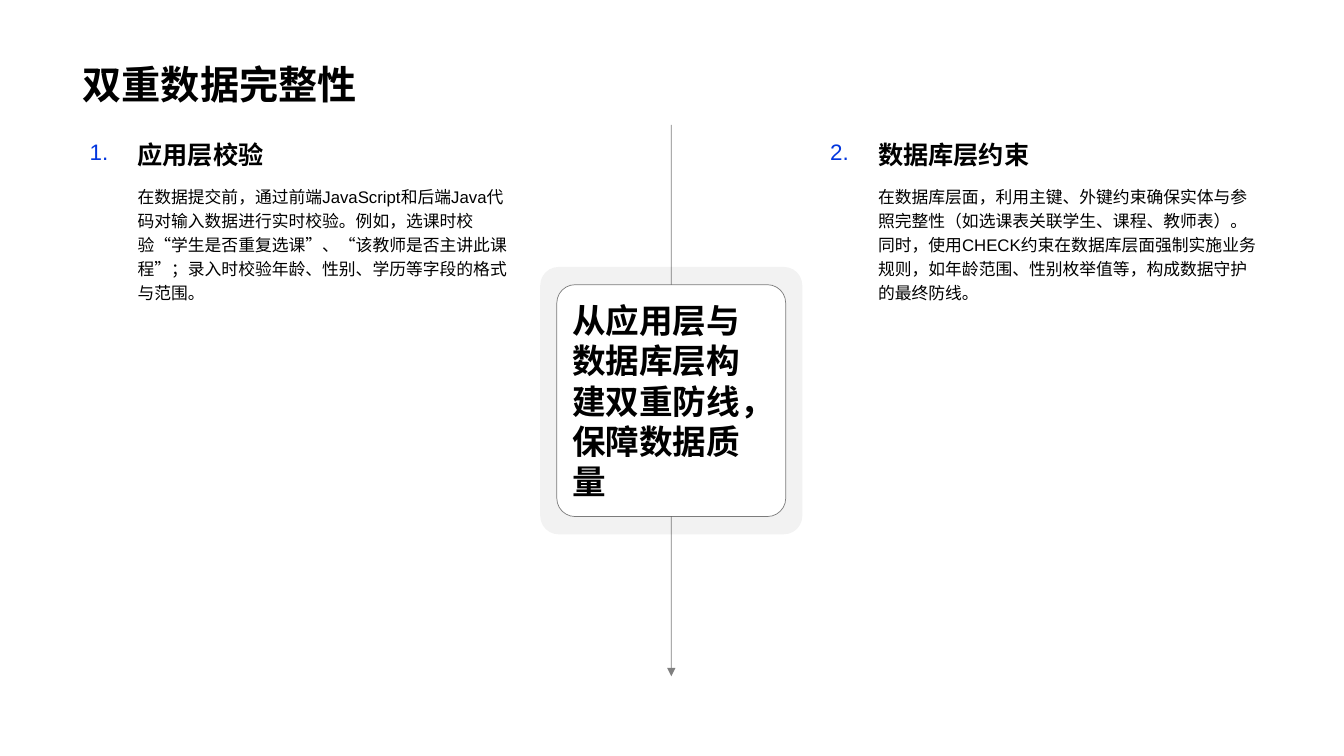
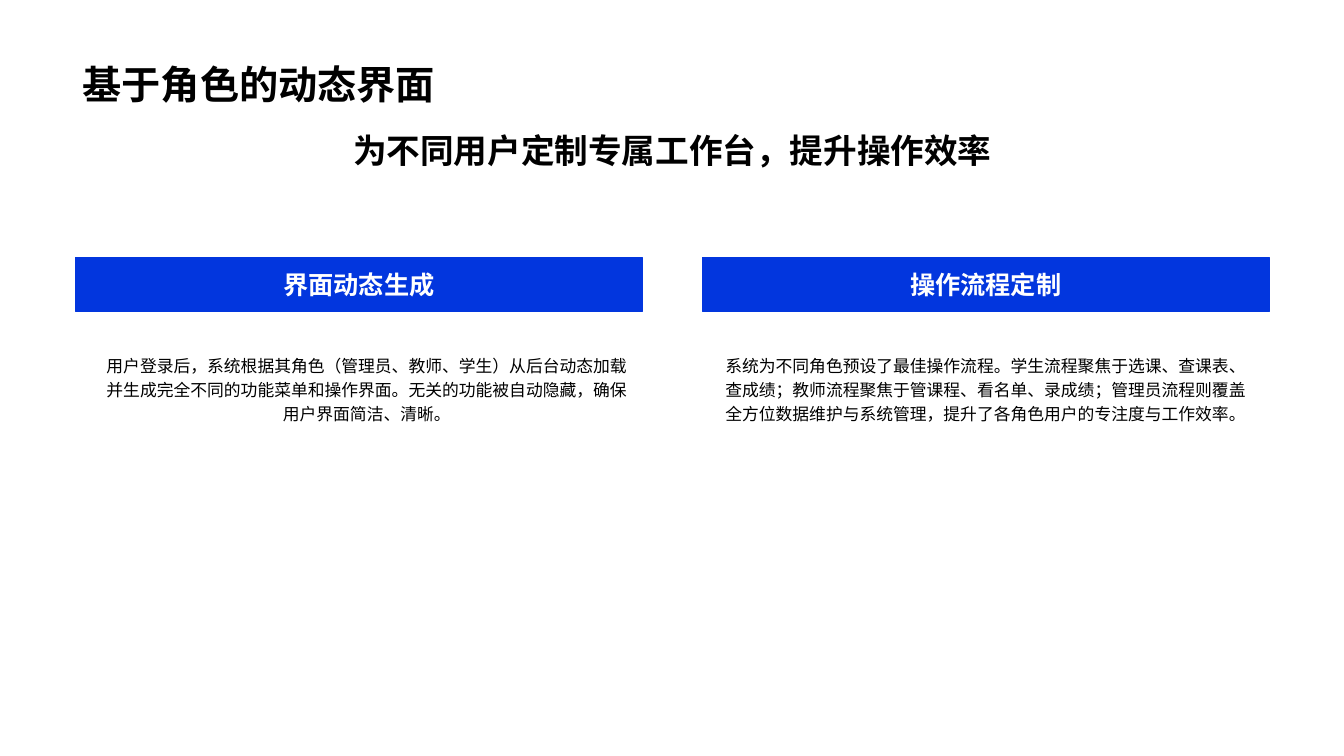
import pptx
import pptx.dml.color
import pptx.enum.lang
import pptx.enum.shapes
import pptx.enum.text
import pptx.oxml
import pptx.oxml.ns
import pptx.util

Pt = pptx.util.Pt
ALIGN = pptx.enum.text.PP_ALIGN
ANCHOR = pptx.enum.text.MSO_ANCHOR
SHAPE = pptx.enum.shapes.MSO_SHAPE

# Shared style
FONT = "Arial"
BLACK, WHITE, BLUE = "000000", "FFFFFF", "0236DE"
TITLE_BOX = (51.84, 10.08, 855.36, 70.56)
CONTENT_TOP = 89.28
BODY_SPACING = 1.2


def color(hex_string):
    return pptx.dml.color.RGBColor.from_string(hex_string)


def set_opacity(parent, percent):
    """Make the solid colour held by a fill or line element translucent."""
    for rgb in parent.iter(pptx.oxml.ns.qn("a:srgbClr")):
        alpha = rgb.makeelement(pptx.oxml.ns.qn("a:alpha"), {"val": str(percent * 1000)})
        rgb.append(alpha)


def set_line(shape, hex_string, width, opacity=100):
    shape.line.color.rgb = color(hex_string)
    shape.line.width = Pt(width)
    if opacity < 100:
        set_opacity(shape._element.spPr.find(pptx.oxml.ns.qn("a:ln")), opacity)


def write(shape, text, size, hex_string=BLACK, bold=False, align=ALIGN.LEFT,
          anchor=ANCHOR.TOP, spacing=None, wrap=True):
    frame = shape.text_frame
    frame.word_wrap = wrap
    frame.auto_size = pptx.enum.text.MSO_AUTO_SIZE.NONE
    frame.vertical_anchor = anchor
    paragraph = frame.paragraphs[0]
    paragraph.alignment = align
    if spacing:
        paragraph.line_spacing = spacing
    run = paragraph.add_run()
    run.text = text
    run.font.name = FONT
    run.font.size = Pt(size)
    run.font.bold = bold
    run.font.color.rgb = color(hex_string)
    run.font.language_id = pptx.enum.lang.MSO_LANGUAGE_ID.SIMPLIFIED_CHINESE


def add_text(slide, box, text, size, **style):
    shape = slide.shapes.add_textbox(*map(Pt, box))
    write(shape, text, size, **style)


def add_box(slide, preset, box, fill):
    shape = slide.shapes.add_shape(preset, *map(Pt, box))
    shape.shadow.inherit = False
    shape.fill.solid()
    shape.fill.fore_color.rgb = color(fill)
    return shape


def add_titled_slide(presentation, title):
    slide = presentation.slides.add_slide(presentation.slide_layouts[5])
    shape = slide.shapes.title
    shape.left, shape.top, shape.width, shape.height = map(Pt, TITLE_BOX)
    write(shape, title, 28, bold=True, anchor=ANCHOR.BOTTOM)
    return slide


# Slide with a central message between two numbered columns
def add_center_axis(slide, box, message):
    left, top, width, height = box
    center_x, center_y = left + width / 2, top + height / 2

    # Arrow running down behind the card
    arrow = slide.shapes.add_connector(
        pptx.enum.shapes.MSO_CONNECTOR.STRAIGHT,
        Pt(center_x), Pt(top), Pt(center_x), Pt(top + height))
    set_line(arrow, BLACK, 0.5, 50)
    properties = arrow._element.spPr
    namespace = pptx.oxml.ns.nsdecls("a")
    properties.find(pptx.oxml.ns.qn("a:ln")).append(
        pptx.oxml.parse_xml(f'<a:tailEnd {namespace} type="triangle"/>'))
    properties.append(pptx.oxml.parse_xml(f"<a:effectLst {namespace}/>"))

    # Translucent halo and the card on it
    def centered(card_width, card_height):
        return (center_x - card_width / 2, center_y - card_height / 2,
                card_width, card_height)

    halo = add_box(slide, SHAPE.ROUNDED_RECTANGLE, centered(width, 191), BLACK)
    halo.adjustments[0] = 0.07
    halo.line.fill.background()
    set_opacity(halo._element.spPr, 5)
    card = add_box(slide, SHAPE.ROUNDED_RECTANGLE, centered(163.5, 165.6), WHITE)
    card.adjustments[0] = 0.08
    set_line(card, BLACK, 0.5, 50)
    write(card, message, 24, bold=True, anchor=ANCHOR.MIDDLE)


def add_numbered_column(slide, box, number, heading, body):
    left, top, width, height = box
    head_height, indent = 37.4, 39.2
    text_left, text_width = left + indent, width - indent
    add_text(slide, (left, top, head_height, head_height), f"{number}.", 16,
             hex_string=BLUE, align=ALIGN.CENTER, anchor=ANCHOR.MIDDLE, wrap=False)
    add_text(slide, (text_left, top, text_width, head_height), heading, 18,
             bold=True, anchor=ANCHOR.MIDDLE, spacing=BODY_SPACING)
    add_text(slide, (text_left, top + head_height, text_width, height - head_height),
             body, 12, spacing=BODY_SPACING)


def build_integrity_slide(presentation):
    slide = add_titled_slide(presentation, "双重数据完整性")
    height = 393.8
    add_center_axis(slide, (385.9, CONTENT_TOP, 187.2, height),
                    "从应用层与数据库层构建双重防线，保障数据质量")
    columns = [
        ("应用层校验",
         "在数据提交前，通过前端JavaScript和后端Java代码对输入数据进行实时校验。"
         "例如，选课时校验“学生是否重复选课”、“该教师是否主讲此课程”；"
         "录入时校验年龄、性别、学历等字段的格式与范围。"),
        ("数据库层约束",
         "在数据库层面，利用主键、外键约束确保实体与参照完整性"
         "（如选课表关联学生、课程、教师表）。同时，使用CHECK约束在数据库层面"
         "强制实施业务规则，如年龄范围、性别枚举值等，构成数据守护的最终防线。"),
    ]
    for index, (heading, body) in enumerate(columns):
        box = (52 + index * 528.9, CONTENT_TOP, 325.8, height)
        add_numbered_column(slide, box, index + 1, heading, body)


# Slide with two bar-headed columns under a subtitle
def add_bar_column(slide, box, heading, body, body_offset):
    left, top, width, height = box
    bar_height, body_top, body_width = 38.9, 64.1, 393.1
    bar = add_box(slide, SHAPE.RECTANGLE, (left, top, width, bar_height), BLUE)
    set_line(bar, BLUE, 0.25)
    write(bar, heading, 18, hex_string=WHITE, bold=True, align=ALIGN.CENTER,
          anchor=ANCHOR.MIDDLE)
    add_text(slide, (left + body_offset, top + body_top, body_width, height - body_top),
             body, 12, align=ALIGN.CENTER, spacing=BODY_SPACING)


def build_interface_slide(presentation):
    slide = add_titled_slide(presentation, "基于角色的动态界面")
    left, width, gap = 54, 404.6, 43.2
    add_text(slide, (left, CONTENT_TOP, 2 * width + gap, 69),
             "为不同用户定制专属工作台，提升操作效率", 24, bold=True, align=ALIGN.CENTER)
    columns = [
        ("界面动态生成",
         "用户登录后，系统根据其角色（管理员、教师、学生）从后台动态加载并生成"
         "完全不同的功能菜单和操作界面。无关的功能被自动隐藏，确保用户界面简洁、清晰。",
         11.5),
        ("操作流程定制",
         "系统为不同角色预设了最佳操作流程。学生流程聚焦于选课、查课表、查成绩；"
         "教师流程聚焦于管课程、看名单、录成绩；管理员流程则覆盖全方位数据维护与"
         "系统管理，提升了各角色用户的专注度与工作效率。",
         5.75),
    ]
    for index, (heading, body, body_offset) in enumerate(columns):
        box = (left + index * (width + gap), 183.6, width, 300)
        add_bar_column(slide, box, heading, body, body_offset)


def main():
    presentation = pptx.Presentation()
    presentation.slide_width, presentation.slide_height = Pt(960), Pt(540)
    build_integrity_slide(presentation)
    build_interface_slide(presentation)
    presentation.save("out.pptx")


if __name__ == "__main__":
    main()
